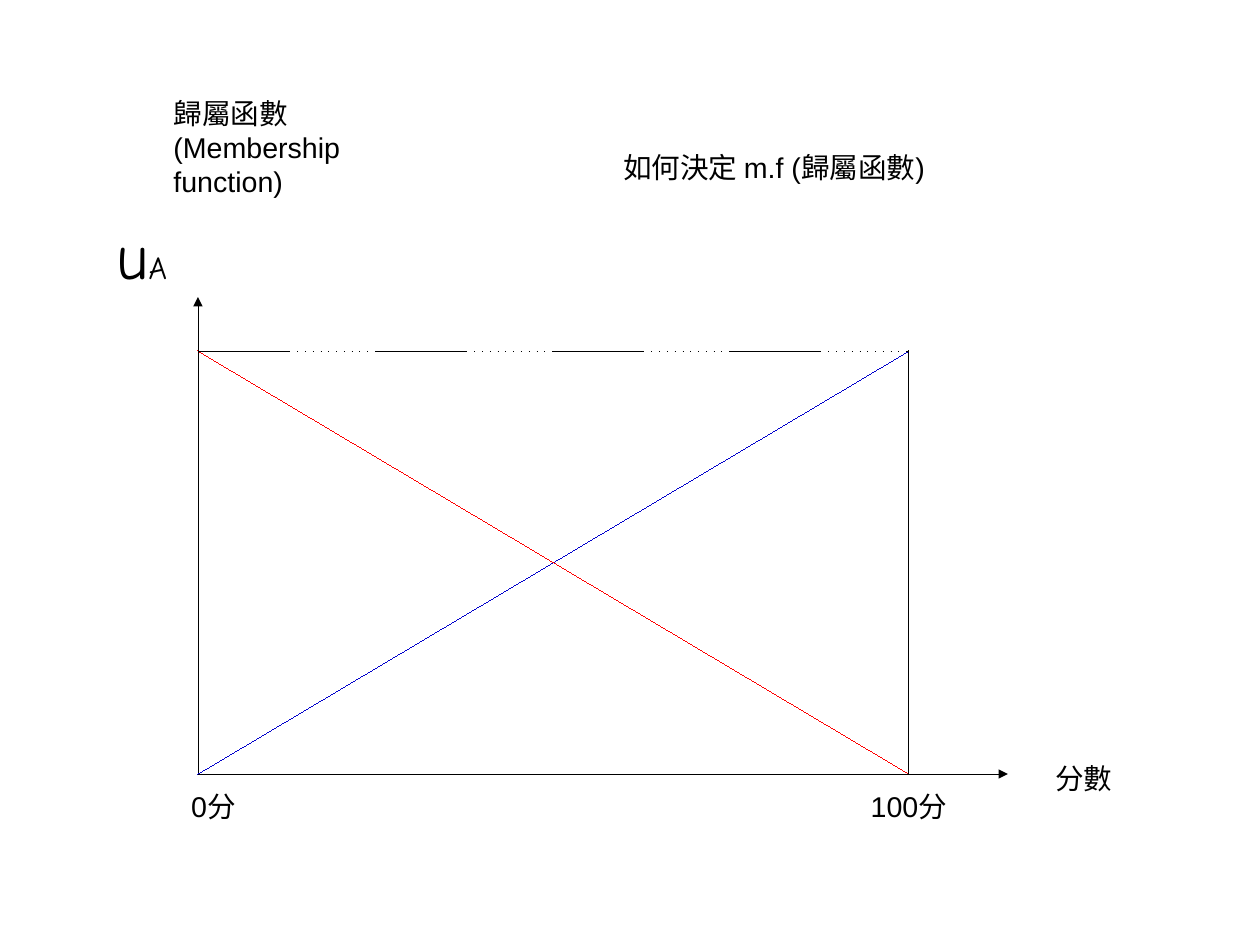
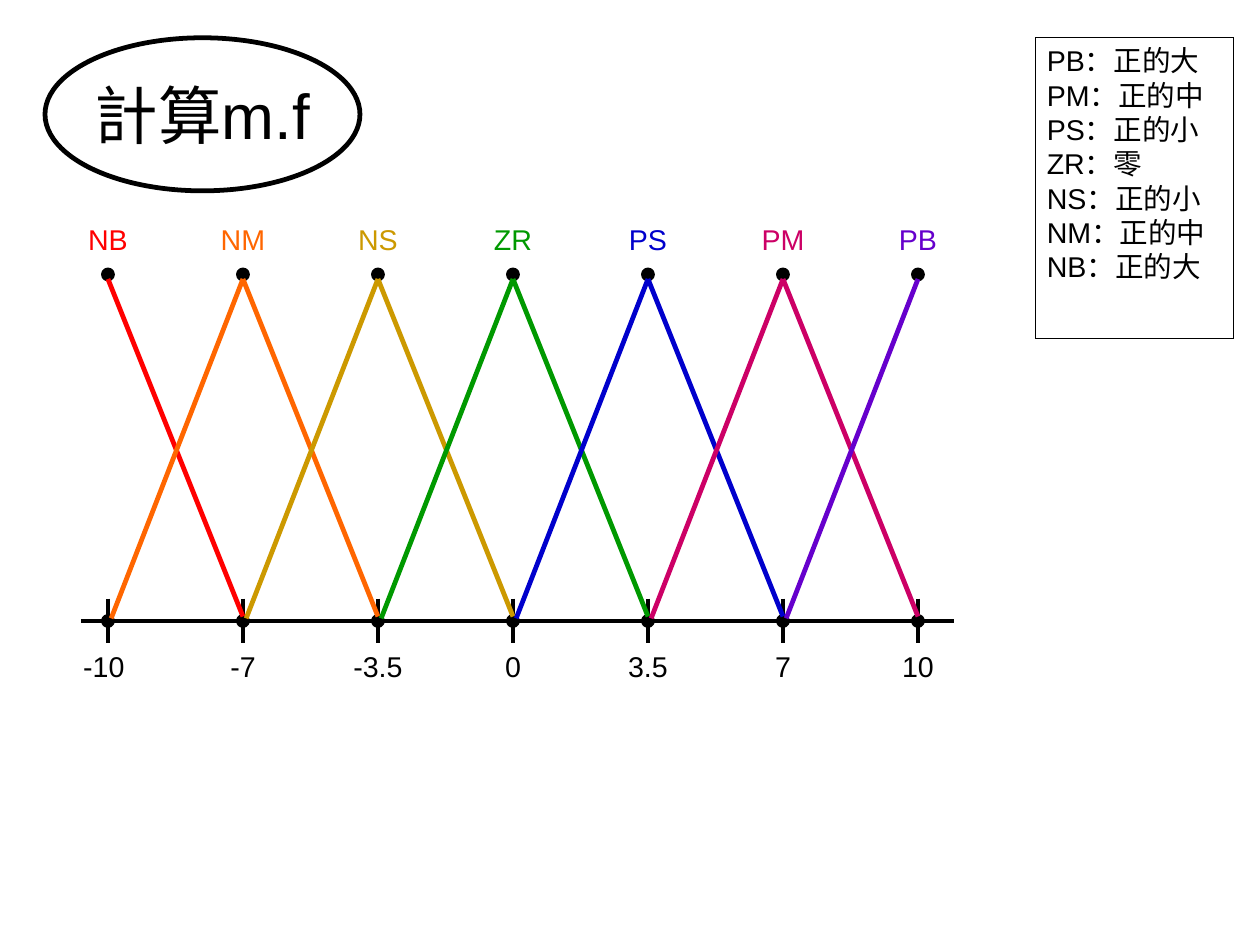
"""Builds two slides on fuzzy membership functions."""
from dataclasses import dataclass

from lxml import etree
from pptx import Presentation
from pptx.dml.color import RGBColor
from pptx.enum.shapes import MSO_CONNECTOR, MSO_SHAPE
from pptx.enum.text import MSO_ANCHOR, MSO_AUTO_SIZE, PP_ALIGN
from pptx.oxml.ns import qn
from pptx.util import Pt

LEFT, CENTER = PP_ALIGN.LEFT, PP_ALIGN.CENTER
TOP, MIDDLE = MSO_ANCHOR.TOP, MSO_ANCHOR.MIDDLE
RECT, OVAL = MSO_SHAPE.RECTANGLE, MSO_SHAPE.OVAL
STRAIGHT = MSO_CONNECTOR.STRAIGHT
NO_FIT = MSO_AUTO_SIZE.NONE
TITLE_ONLY = 5


@dataclass(frozen=True)
class Theme:
    """Colours, fonts, type sizes and line widths of the deck."""
    font: str = "Arial"
    symbol_font: str = "Comic Neue"
    body: int = 18
    subscript: int = 20
    large: int = 40
    black: str = "000000"
    red: str = "FF0000"
    orange: str = "FF6600"
    gold: str = "CC9900"
    green: str = "009900"
    blue: str = "0000CC"
    pink: str = "CC0066"
    violet: str = "6600CC"
    hairline: float = 0
    thin: float = 0.5
    thick: float = 3


T = Theme()


def add_run(p, text, size=T.body, font=T.font, color=T.black):
    """Append a formatted run to a paragraph."""
    r = p.add_run()
    r.text = text
    r.font.size = Pt(size)
    r.font.name = font
    r.font.bold = False
    r.font.color.rgb = RGBColor.from_string(color)


def write(tf, text, align=LEFT, anchor=TOP, wrap=True, **style):
    """Fill a text frame, one paragraph a line, and return the last paragraph."""
    tf.auto_size = NO_FIT
    tf.word_wrap = wrap
    tf.vertical_anchor = anchor
    tf.margin_left = tf.margin_right = Pt(7.2)
    tf.margin_top = tf.margin_bottom = Pt(3.6)
    for i, row in enumerate(text.split("\n")):
        p = tf.add_paragraph() if i else tf.paragraphs[0]
        p.alignment = align
        p.line_spacing = 1.0
        add_run(p, row, **style)
    return p


def add_label(s, text, x, y, w, h, **style):
    """Add a text box and return its last paragraph."""
    sp = s.shapes.add_textbox(Pt(x), Pt(y), Pt(w), Pt(h))
    return write(sp.text_frame, text, **style)


def add_title(s, text, x, y, w, h, **style):
    """Move the title placeholder and fill it."""
    sp = s.shapes.title
    sp.left, sp.top, sp.width, sp.height = Pt(x), Pt(y), Pt(w), Pt(h)
    write(sp.text_frame, text, **style)


def set_line(sp, color, width):
    """Format a line with an explicit width, zero included, and return its XML."""
    sp.line.color.rgb = RGBColor.from_string(color)
    ln = sp.element.spPr.find(qn("a:ln"))
    ln.set("w", str(Pt(width)))
    return ln


def add_outline(s, kind, x, y, w, h, width=T.thick, fill=None):
    """Add a black-edged preset shape, hollow unless a fill is given."""
    sp = s.shapes.add_shape(kind, Pt(x), Pt(y), Pt(w), Pt(h))
    sp.shadow.inherit = False
    if fill:
        sp.fill.solid()
        sp.fill.fore_color.rgb = RGBColor.from_string(fill)
    else:
        sp.fill.background()
    set_line(sp, T.black, width)
    return sp


def add_line(s, x1, y1, x2, y2, color=T.black, width=T.hairline, arrow=False, dashes=()):
    """Add a straight line; dashes are (length, gap) pairs in line widths."""
    sp = s.shapes.add_connector(STRAIGHT, Pt(x1), Pt(y1), Pt(x2), Pt(y2))
    ln = set_line(sp, color, width)
    if dashes:
        pattern = etree.SubElement(ln, qn("a:custDash"))
        for length, gap in dashes:
            etree.SubElement(pattern, qn("a:ds"), d=str(round(length * 100000)),
                             sp=str(round(gap * 100000)))
    if arrow:
        etree.SubElement(ln, qn("a:tailEnd"), type="triangle")
    etree.SubElement(sp.element.spPr, qn("a:effectLst"))


def add_score_slide(prs):
    """Draw the two opposite membership lines over the score axis."""
    s = prs.slides.add_slide(prs.slide_layouts[TITLE_ONLY])
    left, right, top, bottom = 124.72, 572.6, 221.1, 487.56
    add_title(s, "歸屬函數(Membership function)", 102.05, 56.7, 147.4, 73.7)
    add_label(s, "如何決定 m.f (歸屬函數)", 385.5, 90.7, 221, 33)
    p = add_label(s, "u", 53.86, 128.9, 70.87, 62.4, align=CENTER, anchor=MIDDLE,
                  size=T.large, font=T.symbol_font)
    add_run(p, "A", size=T.subscript, font=T.symbol_font)
    add_line(s, left, bottom, left, 187.09, arrow=True)
    add_line(s, left, bottom, 634.96, bottom, arrow=True)
    add_line(s, left, bottom, right, top, color=T.blue)
    add_line(s, left, top, right, bottom, color=T.red)
    add_line(s, right, top, right, bottom)
    add_line(s, left, top, right, top, width=T.thin,
             dashes=[(114, 8.6)] + [(1, 8.6)] * 10)
    for text, x, y, w in (("0分", 113.4, 493.2, 56.7), ("100分", 541.4, 493.2, 70.87),
                          ("分數", 657.6, 475.9, 56.7)):
        add_label(s, text, x, y, w, 33)


def add_fuzzy_sets_slide(prs):
    """Draw seven overlapping triangular sets with their legend."""
    s = prs.slides.add_slide(prs.slide_layouts[TITLE_ONLY])
    sets = (("NB", "-10", T.red), ("NM", "-7", T.orange), ("NS", "-3.5", T.gold),
            ("ZR", "0", T.green), ("PS", "3.5", T.blue), ("PM", "7", T.pink),
            ("PB", "10", T.violet))
    first, step, last = 68.03, 85.04, len(sets) - 1
    axis, tick, peak, foot = 391.18, 14.17, 175.75, 388.35
    dot, label_w, label_h = 5.67, 45.35, 27.2

    legend = add_outline(s, RECT, 652.3, 23.8, 124.7, 189.4, width=T.hairline)
    write(legend.text_frame, "PB：正的大\nPM：正的中\nPS：正的小\nZR：零\n"
                             "NS：正的小\nNM：正的中\nNB：正的大")
    title_area = (28.35, 23.8, 198.4, 96.4)
    add_outline(s, OVAL, *title_area)
    add_title(s, "計算m.f", *title_area, align=CENTER, anchor=MIDDLE, wrap=False,
              size=T.large)

    add_line(s, 51.02, axis, 600.94, axis, width=T.thick)
    for i, (name, value, color) in enumerate(sets):
        x = first + i * step
        add_line(s, x, axis - tick, x, axis + tick, width=T.thick)
        add_label(s, value, x - label_w / 2, axis + tick, label_w, label_h,
                  align=CENTER if i else LEFT, wrap=i == 0)
        add_label(s, name, x - label_w / 2, 136.06, label_w, label_h,
                  align=CENTER, wrap=False, color=color)
        for y in (peak - dot, axis - dot / 2):
            add_outline(s, OVAL, x - dot / 2, y, dot, dot, fill=T.black)
    for i, (_, _, color) in enumerate(sets[:last]):
        x = first + i * step
        add_line(s, x, peak, x + step, foot, color=color, width=T.thick)
    for i, (_, _, color) in enumerate(sets[1:], start=1):
        x = first + i * step
        add_line(s, x, peak, x - step + 2, foot + 1.2, color=color, width=T.thick)


def main():
    """Build and save the deck."""
    prs = Presentation()
    prs.slide_width, prs.slide_height = Pt(793.7), Pt(595.28)
    add_score_slide(prs)
    add_fuzzy_sets_slide(prs)
    prs.save("out.pptx")


if __name__ == "__main__":
    main()
